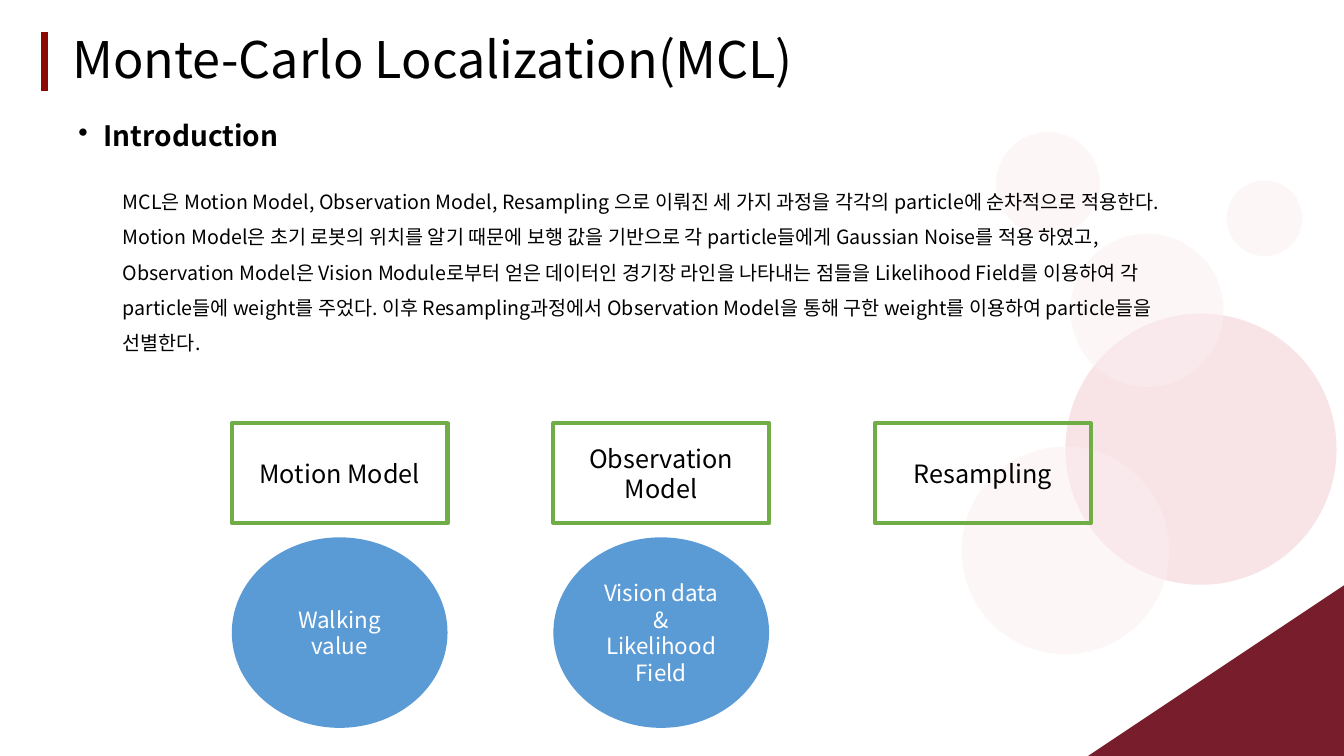
import pptx
import pptx.util
import pptx.dml.color
import pptx.enum.shapes
import pptx.enum.text
import pptx.oxml
import pptx.oxml.ns
from lxml import etree

Pt = pptx.util.Pt
SHAPE = pptx.enum.shapes.MSO_SHAPE
ALIGN = pptx.enum.text.PP_ALIGN
ANCHOR = pptx.enum.text.MSO_ANCHOR

TITLE = "Monte-Carlo Localization(MCL)"
HEADING = "Introduction"
SUMMARY = (
    "MCL은 Motion Model, Observation Model, Resampling 으로 이뤄진 세 가지 과정을 "
    "각각의 particle에 순차적으로 적용한다. Motion Model은 초기 로봇의 위치를 알기 때문에 "
    "보행 값을 기반으로 각 particle들에게 Gaussian Noise를 적용 하였고, Observation Model은 "
    "Vision Module로부터 얻은 데이터인 경기장 라인을 나타내는 점들을 Likelihood Field를 "
    "이용하여 각 particle들에 weight를 주었다. 이후 Resampling과정에서 Observation Model을 "
    "통해 구한 weight를 이용하여 particle들을 선별한다."
)
# Each step with the lines of its input
STEPS = [
    ("Motion Model", ["Walking value"]),
    ("Observation Model", ["Vision data", "&", "Likelihood Field"]),
    ("Resampling", []),
]

THEME = {
    "font": "Noto Sans CJK KR",
    "text": "000000", "light": "FFFFFF", "rule": "8B0902", "corner": "781D2C",
    "rose": "F2CAD1", "blush": "FBEFF1", "step": "70AD47", "input": "5B9BD5",
    "title_size": 36, "heading_size": 20, "summary_size": 14,
    "step_size": 18, "input_size": 16,
}

# Left, top, diameter, colour
BUBBLES = [
    (761, 224, 193.7, "rose"),
    (686.9, 319, 148.3, "blush"),
    (764.6, 167, 109.4, "blush"),
    (711.4, 94.3, 74.2, "blush"),
    (876.2, 128.9, 54, "blush"),
]
STEP_LEFT, STEP_PITCH, STEP_WIDTH = 165.6, 229.7, 154.1
STEP_TOP, STEP_HEIGHT = 302.4, 71.3
INPUT_TOP, INPUT_HEIGHT = 383.8, 136.1


def colour(name):
    return pptx.dml.color.RGBColor.from_string(THEME[name])


def write(shape, lines, size, ink="text", bold=False, anchor=ANCHOR.TOP,
          bullet=None, margin=None, indent=0, **paragraph_format):
    frame = shape.text_frame
    frame.word_wrap = True
    frame.vertical_anchor = anchor
    frame.text = "\n".join(lines)
    for paragraph in frame.paragraphs:
        properties = paragraph._p.get_or_add_pPr()
        if margin is not None:
            properties.set("marL", str(Pt(margin)))
            properties.set("indent", str(Pt(indent)))
        for name, value in paragraph_format.items():
            setattr(paragraph, name, value)
        if bullet:
            etree.SubElement(properties, pptx.oxml.ns.qn("a:buChar"), char=bullet)
        for run in paragraph.runs:
            for name, value in {"name": THEME["font"], "size": Pt(THEME[size]),
                                "bold": bold}.items():
                setattr(run.font, name, value)
            run.font.color.rgb = colour(ink)
            etree.SubElement(run._r.get_or_add_rPr(), pptx.oxml.ns.qn("a:ea"),
                             typeface=THEME["font"])


def add_text(slide, box, lines, size, **text_format):
    write(slide.shapes.add_textbox(*map(Pt, box)), lines, size, **text_format)


def add_figure(slide, kind, box, fill=None, outline=None, opacity=None):
    figure = slide.shapes.add_shape(kind, *map(Pt, box))
    figure.shadow.inherit = False
    if fill:
        figure.fill.solid()
        figure.fill.fore_color.rgb = colour(fill)
    else:
        figure.fill.background()
    if outline:
        figure.line.color.rgb = colour(outline)
        figure.line.width = Pt(3)
    else:
        figure.line.fill.background()
    if opacity:
        tint = figure._element.spPr.find(".//" + pptx.oxml.ns.qn("a:srgbClr"))
        etree.SubElement(tint, pptx.oxml.ns.qn("a:alpha"), val=str(opacity * 1000))
    return figure


def add_decoration(slide):
    rule = slide.shapes.add_connector(
        pptx.enum.shapes.MSO_CONNECTOR.STRAIGHT, Pt(31.7), Pt(23), Pt(31.7), Pt(64.8))
    rule.line.color.rgb = colour("rule")
    rule.line.width = Pt(4.5)
    etree.SubElement(rule._element.spPr, pptx.oxml.ns.qn("a:effectLst"))
    corner = add_figure(slide, SHAPE.RIGHT_TRIANGLE, (807.1, 387.4, 122.4, 183.6), "corner")
    corner.rotation = 270
    for left, top, diameter, fill in BUBBLES:
        add_figure(slide, SHAPE.OVAL, (left, top, diameter, diameter), fill, opacity=50)


def add_steps(slide):
    centred = {"anchor": ANCHOR.MIDDLE, "alignment": ALIGN.CENTER}
    for column, (step, inputs) in enumerate(STEPS):
        left = STEP_LEFT + column * STEP_PITCH
        step_box = add_figure(slide, SHAPE.RECTANGLE,
                              (left, STEP_TOP, STEP_WIDTH, STEP_HEIGHT), outline="step")
        write(step_box, [step], "step_size", **centred)
        if inputs:
            input_disc = add_figure(slide, SHAPE.OVAL,
                                    (left, INPUT_TOP, STEP_WIDTH, INPUT_HEIGHT), "input")
            write(input_disc, inputs, "input_size", ink="light", **centred)


def main():
    deck = pptx.Presentation()
    deck.slide_width, deck.slide_height = Pt(960), Pt(540)
    slide = deck.slides.add_slide(deck.slide_layouts[6])
    add_decoration(slide)
    add_text(slide, (44.6, 18, 738, 52.6), [TITLE], "title_size",
             anchor=ANCHOR.MIDDLE, line_spacing=0.9)
    add_text(slide, (49, 84.2, 861.8, 31.7), [HEADING], "heading_size", bold=True,
             bullet="•", margin=18, indent=-18, line_spacing=0.9)
    add_text(slide, (44.6, 123.8, 819.4, 189.4), [SUMMARY], "summary_size",
             margin=36, level=1, line_spacing=1.5)
    add_steps(slide)
    deck.save("out.pptx")


if __name__ == "__main__":
    main()
